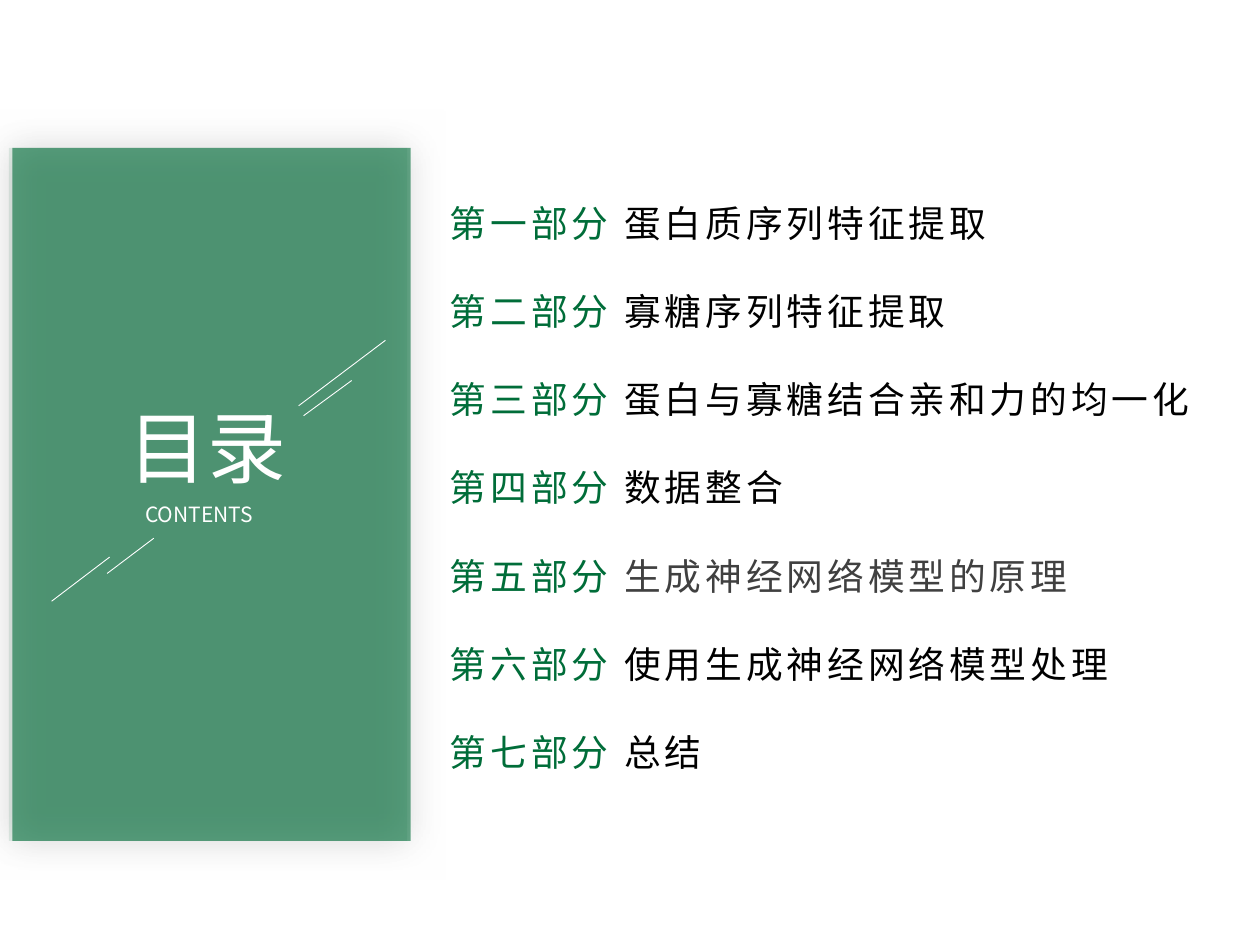
"""Build the contents slide: a green title card beside seven numbered parts."""
from lxml.etree import SubElement as Sub
from pptx import Presentation
from pptx.dml.color import RGBColor as Rgb
from pptx.enum.shapes import MSO_CONNECTOR as Link, MSO_SHAPE as Form
from pptx.enum.text import MSO_ANCHOR as Anchor, PP_ALIGN as Align
from pptx.oxml.ns import qn
from pptx.util import Cm, Pt

FACE = "Noto Sans CJK SC"
GREEN, BLACK, GREY, WHITE = "006D39", "000000", "404040", "FFFFFF"
PARTS = [
    ("一", "蛋白质序列特征提取", BLACK),
    ("二", "寡糖序列特征提取", BLACK),
    ("三", "蛋白与寡糖结合亲和力的均一化", BLACK),
    ("四", "数据整合", BLACK),
    ("五", "生成神经网络模型的原理", GREY),
    ("六", "使用生成神经网络模型处理", BLACK),
    ("七", "总结", BLACK),
]
CARDS = [(0.18, 10), (0.25, 60)]
HEADS = [
    ("目录", 45, (2.34, 7.9, 3.84, 2.18)),
    ("CONTENTS", 12, (2.68, 9.98, 3.2, 0.76)),
]
LINES = [
    (6.02, 8.18, 7.77, 6.86),
    (1.04, 12.12, 2.21, 11.23),
    (2.16, 11.56, 3.1, 10.85),
    (6.12, 8.38, 7.09, 7.67),
]


def hue(code):
    return Rgb.from_string(code)


def put(item, **form):
    for key, value in form.items():
        setattr(item, key, value)


def fade(node, share):
    Sub(node, qn("a:alpha"), val=str(share * 1000))


def add_card(shapes, left, share):
    card = shapes.add_shape(Form.ROUNDED_RECTANGLE, *map(Cm, (left, 2.98, 8.03, 13.97)))
    card.adjustments[0] = 0
    card.fill.solid()
    card.fill.fore_color.rgb = hue(GREEN)
    fade(card.fill._xPr.find(".//" + qn("a:srgbClr")), share)
    card.line.fill.background()
    card.shadow.inherit = False
    glow = Sub(card._element.spPr.find(qn("a:effectLst")), qn("a:outerShdw"),
               blurRad=str(Pt(22)), dist="0", dir="0", algn="ctr", rotWithShape="0")
    fade(Sub(glow, qn("a:srgbClr"), val=BLACK), 10)


def add_run(para, text, size, color, gap=0):
    run = para.add_run()
    run.text = text
    put(run.font, size=Pt(size), name=FACE)
    run.font.color.rgb = hue(color)
    props = run.font._element
    Sub(props, qn("a:ea"), typeface=FACE)
    if gap:
        props.set("spc", str(gap))


def add_box(shapes, area, **form):
    frame = shapes.add_textbox(*map(Cm, area)).text_frame
    put(frame, word_wrap=True, **form)
    return frame


def add_line(shapes, ends):
    line = shapes.add_connector(Link.STRAIGHT, *map(Cm, ends))
    line.line.color.rgb = hue(WHITE)
    line.line.width = Pt(0.5)
    Sub(line._element.spPr, qn("a:effectLst"))


def main():
    deck = Presentation()
    put(deck, slide_width=Cm(25.4), slide_height=Cm(19.05))
    shapes = deck.slides.add_slide(deck.slide_layouts[6]).shapes
    for left, share in CARDS:
        add_card(shapes, left, share)

    frame = add_box(shapes, (8.82, 3.92, 17.42, 11.68))
    for row, (number, title, color) in enumerate(PARTS):
        para = frame.add_paragraph() if row else frame.paragraphs[0]
        if row:
            para.space_before = Pt(25.2)
        add_run(para, f"第{number}部分 ", 21, GREEN, 220)
        add_run(para, title, 21, color, 220)

    group = shapes.add_group_shape()
    for text, size, area in HEADS:
        para = add_box(group.shapes, area, vertical_anchor=Anchor.MIDDLE).paragraphs[0]
        para.alignment = Align.JUSTIFY
        add_run(para, text, size, WHITE)

    for ends in LINES:
        add_line(shapes, ends)
    deck.save("out.pptx")


if __name__ == "__main__":
    main()
